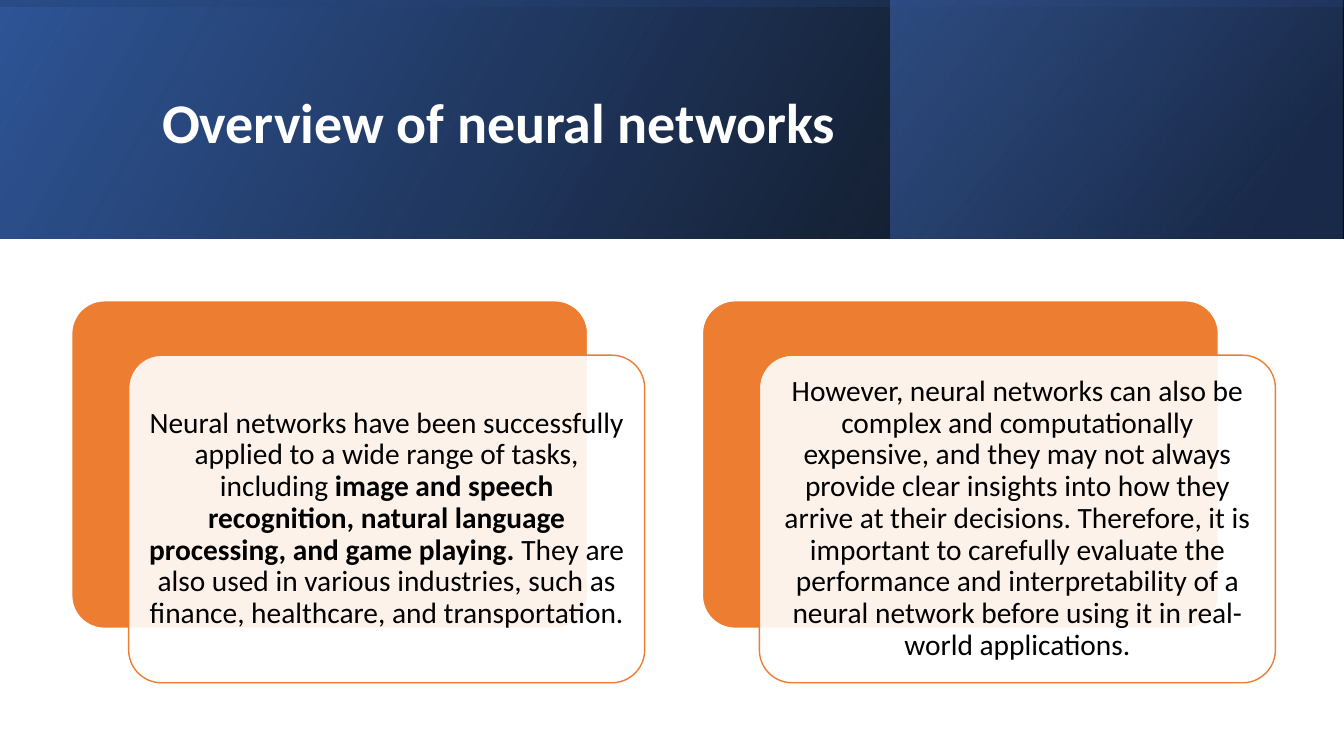
"""Build the slide "Overview of neural networks": a gradient banner over two text cards."""
from lxml import etree
from pptx import Presentation
from pptx.dml.color import RGBColor
from pptx.enum.shapes import MSO_SHAPE
from pptx.enum.text import MSO_ANCHOR, PP_ALIGN
from pptx.oxml.ns import qn
from pptx.util import Pt

RECTANGLE, ROUNDED = MSO_SHAPE.RECTANGLE, MSO_SHAPE.ROUNDED_RECTANGLE
MIDDLE = MSO_ANCHOR.MIDDLE
LEFT, CENTER = PP_ALIGN.LEFT, PP_ALIGN.CENTER

TITLE = [("Overview of neural networks", True)]
CARDS = [
    [
        ("Neural networks have been successfully applied to a wide range of tasks, including ", False),
        ("image and speech recognition, natural language processing, and game playing.", True),
        (" They are also used in various industries, such as finance, healthcare, "
         "and transportation.", False),
    ],
    [
        ("However, neural networks can also be complex and computationally expensive, and they "
         "may not always provide clear insights into how they arrive at their decisions. "
         "Therefore, it is important to carefully evaluate the performance and interpretability "
         "of a neural network before using it in real-world applications.", False),
    ],
]

THEME = {
    "font": "Calibri", "title_size": 40, "body_size": 21,
    "white": "FFFFFF", "black": "000000", "accent": "ED7D31",
    "deep_blue": "2F5597", "navy": "203864", "blue": "4472C4",
}

SLIDE_WIDTH, SLIDE_HEIGHT = 960, 540
BANNER_HEIGHT = 170.6
SIDE_LEFT = 636.2
TURNED_LEFT = (SLIDE_WIDTH - BANNER_HEIGHT) / 2
BANNER_LAYERS = [
    ((0, 0, SLIDE_WIDTH, BANNER_HEIGHT), 0, 330,
     [(0, "black", 96), (100, "deep_blue", 100)]),
    ((SIDE_LEFT, 0, 322.9, BANNER_HEIGHT), 0, 320,
     [(19, "navy", 68), (100, "blue", 48)]),
    ((TURNED_LEFT, -TURNED_LEFT, BANNER_HEIGHT, SLIDE_WIDTH), 270, 350,
     [(23, "deep_blue", 16), (99, "black", 45)]),
]
TITLE_BOX = (108.7, 27.4, 765.4, 123.8)
CARD_LEFT, CARD_TOP, CARD_WIDTH, CARD_HEIGHT = 51.2, 214.8, 368.6, 234
CARD_PITCH = 450.5
PANEL_SHIFT = (40.7, 38.9)
TEXT_MARGIN = 6.9


def color(name):
    return RGBColor.from_string(THEME[name])


def add_opacity(color_element, percent):
    etree.SubElement(color_element, qn("a:alpha")).set("val", str(percent * 1000))


def add_block(slide, kind, box, fill=None, line=None):
    shape = slide.shapes.add_shape(kind, *map(Pt, box))
    shape.shadow.inherit = False
    if fill:
        shape.fill.solid()
        shape.fill.fore_color.rgb = color(fill)
    if line:
        shape.line.color.rgb = color(line)
        shape.line.width = Pt(1)
    else:
        shape.line.fill.background()
    return shape


def add_banner_layer(slide, box, rotation, angle, stops):
    shape = add_block(slide, RECTANGLE, box)
    shape.rotation = rotation
    properties = shape.element.spPr
    properties.find(qn("a:xfrm")).set("flipH", "1")
    gradient = etree.Element(qn("a:gradFill"))
    stop_list = etree.SubElement(gradient, qn("a:gsLst"))
    for position, name, opacity in stops:
        stop = etree.SubElement(stop_list, qn("a:gs"), pos=str(position * 1000))
        add_opacity(etree.SubElement(stop, qn("a:srgbClr"), val=THEME[name]), opacity)
    etree.SubElement(gradient, qn("a:lin"), ang=str(angle * 60000), scaled="0")
    properties.find(qn("a:prstGeom")).addnext(gradient)


def add_text(slide, box, runs, size, name, alignment):
    frame = slide.shapes.add_textbox(*map(Pt, box)).text_frame
    frame.word_wrap = True
    frame.vertical_anchor = MIDDLE
    paragraph = frame.paragraphs[0]
    paragraph.alignment = alignment
    paragraph.line_spacing = 0.9
    for text, bold in runs:
        run = paragraph.add_run()
        run.text = text
        run.font.name = THEME["font"]
        run.font.size = Pt(THEME[size])
        run.font.bold = bold
        run.font.color.rgb = color(name)
    return frame


def add_card(slide, left, runs):
    size = (CARD_WIDTH, CARD_HEIGHT)
    panel_left, panel_top = left + PANEL_SHIFT[0], CARD_TOP + PANEL_SHIFT[1]
    back = add_block(slide, ROUNDED, (left, CARD_TOP, *size), "accent", "white")
    panel = add_block(slide, ROUNDED, (panel_left, panel_top, *size), "white", "accent")
    for shape in (back, panel):
        shape.adjustments[0] = 0.1
    add_opacity(panel.element.spPr.find(qn("a:solidFill")).find(qn("a:srgbClr")), 90)
    text_box = (panel_left + TEXT_MARGIN, panel_top + TEXT_MARGIN,
                CARD_WIDTH - 2 * TEXT_MARGIN, CARD_HEIGHT - 2 * TEXT_MARGIN)
    frame = add_text(slide, text_box, runs, "body_size", "black", CENTER)
    frame.margin_left = frame.margin_right = Pt(6.3)
    frame.margin_top = frame.margin_bottom = Pt(6.3)


def main():
    presentation = Presentation()
    presentation.slide_width, presentation.slide_height = Pt(SLIDE_WIDTH), Pt(SLIDE_HEIGHT)
    slide = presentation.slides.add_slide(presentation.slide_layouts[6])
    for layer in BANNER_LAYERS:
        add_banner_layer(slide, *layer)
    add_text(slide, TITLE_BOX, TITLE, "title_size", "white", LEFT)
    for index, runs in enumerate(CARDS):
        add_card(slide, CARD_LEFT + index * CARD_PITCH, runs)
    presentation.save("out.pptx")


if __name__ == "__main__":
    main()
